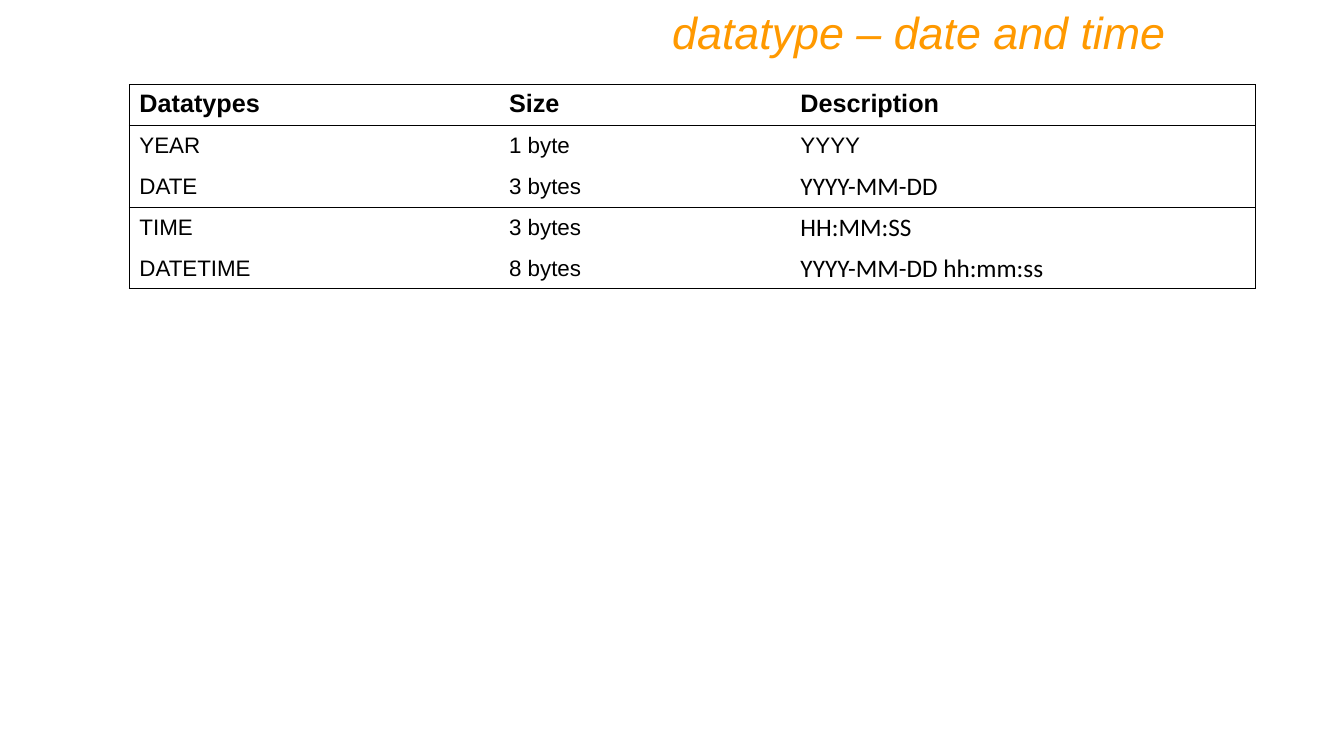
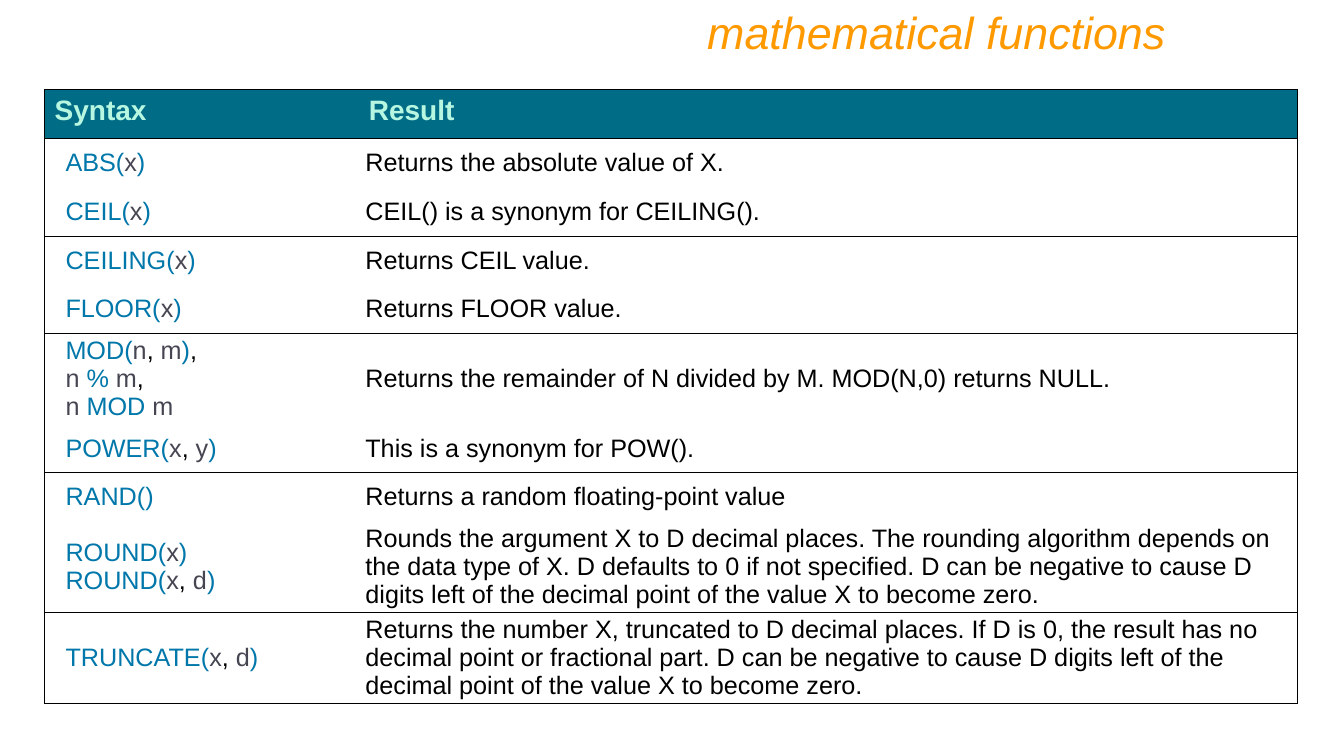
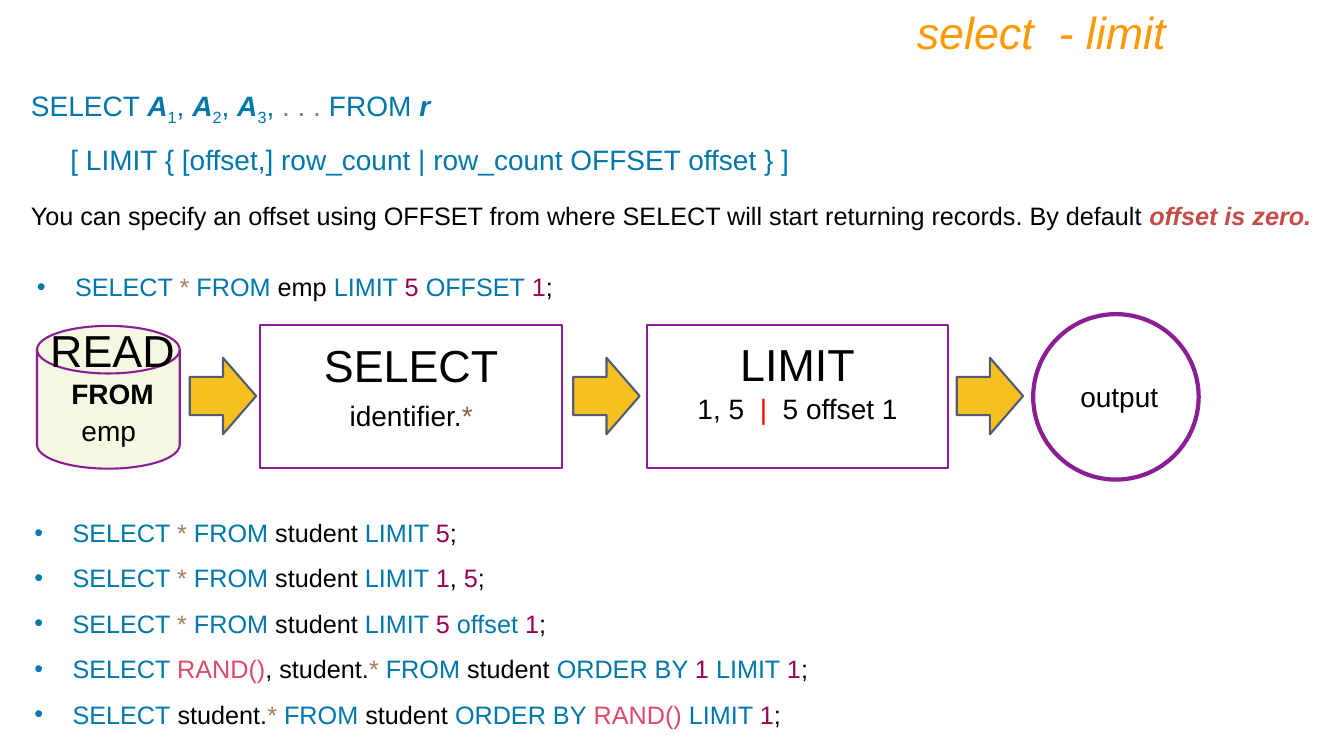
from lxml.etree import SubElement
from pptx import Presentation
from pptx.dml.color import RGBColor
from pptx.enum.shapes import MSO_SHAPE
from pptx.enum.text import MSO_ANCHOR, PP_ALIGN
from pptx.oxml import parse_xml
from pptx.oxml.ns import nsdecls, qn
from pptx.util import Inches, Pt

BLACK = RGBColor(0x00, 0x00, 0x00)
WHITE = RGBColor(0xFF, 0xFF, 0xFF)
ORANGE = RGBColor(0xFF, 0x99, 0x00)
BLUE = RGBColor(0x00, 0x77, 0xAA)
SLATE = RGBColor(0x46, 0x46, 0x53)
TEAL = RGBColor(0x00, 0x6C, 0x86)
MINT = RGBColor(0xB7, 0xF7, 0xE2)
PURPLE = RGBColor(0x8A, 0x1E, 0x92)
YELLOW = RGBColor(0xF6, 0xC1, 0x20)
STEEL = RGBColor(0x53, 0x5A, 0x76)
CREAM = RGBColor(0xF6, 0xF7, 0xE3)
GREY = RGBColor(0x7F, 0x7F, 0x7F)
RED = RGBColor(0xFF, 0x00, 0x00)
BRICK = RGBColor(0xC7, 0x4C, 0x49)
BROWN = RGBColor(0x94, 0x5D, 0x4A)
TAN = RGBColor(0xA6, 0x7F, 0x59)
MAGENTA = RGBColor(0x99, 0x00, 0x55)
PINK = RGBColor(0xDD, 0x4A, 0x68)

STYLES = {
    "k": dict(color=BLUE),
    "t": dict(color=BLACK),
    "x": dict(color=SLATE),
    "n": dict(color=MAGENTA),
    "o": dict(color=TAN),
    "f": dict(color=PINK),
    "g": dict(color=GREY),
    "r": dict(color=RED),
    "w": dict(color=BROWN),
    "v": dict(bold=True, italic=True),
    "s": dict(baseline=-25000),
    "e": dict(color=BRICK, bold=True, italic=True),
    "b": dict(size=20, bold=True),
    "c": dict(font="Calibri", size=18),
}

COLUMNS, ROWS = 160, 90


def style_run(r, size=18, color=BLACK, font="Arial", bold=False, italic=False, baseline=0):
    r.font.size = Pt(size)
    r.font.name = font
    r.font.bold = bold
    r.font.italic = italic
    r.font.color.rgb = color
    if baseline:
        r._r.get_or_add_rPr().set("baseline", str(baseline))


def add_bullet(p, color):
    pPr = p._p.get_or_add_pPr()
    pPr.set("marL", str(Inches(0.38)))
    pPr.set("indent", str(-Inches(0.38)))
    SubElement(SubElement(pPr, qn("a:buClr")), qn("a:srgbClr")).set("val", str(color))
    SubElement(pPr, qn("a:buFont")).set("typeface", "Arial")
    SubElement(pPr, qn("a:buChar")).set("char", "•")


def write(tf, text, align=PP_ALIGN.LEFT, spacing=None, bullet=None, **fmt):
    for i, line in enumerate(text.split("\n")):
        p = tf.add_paragraph() if i else tf.paragraphs[0]
        if bullet is not None:
            add_bullet(p, bullet)
        p.alignment = align
        if spacing:
            p.line_spacing = spacing
        plain, *marked = line.split("~")
        pieces = [(plain, {})] + [(m[1:], STYLES[m[0]]) for m in marked]
        for piece, style in pieces:
            if piece:
                r = p.add_run()
                r.text = piece
                style_run(r, **{**fmt, **style})


def set_borders(cell, sides):
    tcPr = cell._tc.get_or_add_tcPr()
    paint = {True: '<a:solidFill><a:srgbClr val="000000"/></a:solidFill>', False: "<a:noFill/>"}
    for i, side in enumerate("LRTB"):
        ln = parse_xml(f'<a:ln{side} {nsdecls("a")} w="9525">{paint[side in sides]}</a:ln{side}>')
        tcPr.insert(i, ln)


class Deck:
    def __init__(self):
        self.prs = Presentation()
        self.prs.slide_width, self.prs.slide_height = Inches(13.33), Inches(7.5)
        self.s = None

    def x(self, columns):
        return int(self.prs.slide_width * columns / COLUMNS)

    def y(self, rows):
        return int(self.prs.slide_height * rows / ROWS)

    def box(self, left, top, width, height):
        return self.x(left), self.y(top), self.x(width), self.y(height)

    def slide(self, title):
        self.s = self.prs.slides.add_slide(self.prs.slide_layouts[6])
        self.text(title, 20, 0, 120, 7.7, size=32, color=ORANGE, italic=True, align=PP_ALIGN.RIGHT)

    def text(self, text, left, top, width, height, **fmt):
        tf = self.s.shapes.add_textbox(*self.box(left, top, width, height)).text_frame
        tf.word_wrap = True
        write(tf, text, **fmt)

    def label(self, text, left, top, width, height=5.3, size=20):
        self.text(text, left, top, width, height, size=size, align=PP_ALIGN.CENTER)

    def shape(self, kind, left, top, width, height, fill=None, line=PURPLE, weight=1.5):
        sp = self.s.shapes.add_shape(kind, *self.box(left, top, width, height))
        sp.shadow.inherit = False
        if fill is None:
            sp.fill.background()
        else:
            sp.fill.solid()
            sp.fill.fore_color.rgb = fill
        sp.line.color.rgb = line
        sp.line.width = Pt(weight)

    def table(self, left, top, widths, heights, data, header, body, head_fill=WHITE, insets=None):
        size = self.box(left, top, sum(widths), sum(heights))
        table = self.s.shapes.add_table(len(data), len(widths), *size).table
        for column, width in zip(table.columns, widths):
            column.width = self.x(width)
        ruled = {0, len(data), *range(1, len(data), 2)}
        for i, (row, height) in enumerate(zip(data, heights)):
            table.rows[i].height = self.y(height)
            for j, text in enumerate(row):
                cell = table.cell(i, j)
                cell.fill.solid()
                cell.fill.fore_color.rgb = WHITE if i else head_fill
                if i:
                    cell.vertical_anchor = MSO_ANCHOR.MIDDLE
                    if insets:
                        cell.margin_left, cell.margin_right = self.x(insets[j]), self.x(0.8)
                        cell.margin_top = cell.margin_bottom = 0
                write(cell.text_frame, text, **(body if i else header))
                edges = {"L": j == 0, "R": j == len(row) - 1, "T": i in ruled, "B": i + 1 in ruled}
                set_borders(cell, [side for side, drawn in edges.items() if drawn])


DATE_TYPES = [
    ("Datatypes", "Size", "Description"),
    ("YEAR", "1 byte", "YYYY"),
    ("DATE", "3 bytes", "~cYYYY-MM-DD"),
    ("TIME", "3 bytes", "~cHH:MM:SS"),
    ("DATETIME", "8 bytes", "~cYYYY-MM-DD hh:mm:ss"),
]

FUNCTIONS = [
    ("Syntax", "Result"),
    ("~kABS(~xx~k)", "Returns the absolute value of X."),
    ("~kCEIL(~xx~k)", "CEIL() is a synonym for CEILING()."),
    ("~kCEILING(~xx~k)", "Returns CEIL value."),
    ("~kFLOOR(~xx~k)", "Returns FLOOR value."),
    ("~kMOD(~xn~t,~x m~k)~t,\n~xn~k % ~xm~t,\n~xn~k MOD ~xm",
     "Returns the remainder of N divided by M. MOD(N,0) returns NULL."),
    ("~kPOWER(~xx~t,~x y~k)", "This is a synonym for POW()."),
    ("~kRAND()", "Returns a random floating-point value"),
    ("~kROUND(~xx~k)\n~kROUND(~xx~t,~x d~k)",
     "Rounds the argument X to D decimal places. The rounding algorithm depends on the data type "
     "of X. D defaults to 0 if not specified. D can be negative to cause D digits left of the "
     "decimal point of the value X to become zero."),
    ("~kTRUNCATE(~xx~t,~x d~k)",
     "Returns the number X, truncated to D decimal places. If D is 0, the result has no decimal "
     "point or fractional part. D can be negative to cause D digits left of the decimal point of "
     "the value X to become zero."),
]

QUERIES = [
    "~kSELECT ~o* ~kFROM ~tstudent ~kLIMIT ~n5~t;",
    "~kSELECT ~o* ~kFROM ~tstudent ~kLIMIT ~n1~t, ~n5~t;",
    "~kSELECT ~o* ~kFROM ~tstudent ~kLIMIT ~n5 ~koffset ~n1~t;",
    "~kSELECT ~fRAND()~t, student.~o* ~kFROM ~tstudent ~kORDER BY ~n1 ~kLIMIT ~n1~t;",
    "~kSELECT~t student.~o* ~kFROM ~tstudent ~kORDER BY~f RAND() ~kLIMIT ~n1~t;",
]


def date_slide(deck):
    deck.slide("datatype – date and time")
    deck.table(15.4, 10.1, [44, 34.7, 55.4], [4.86] * 5, DATE_TYPES,
               header=dict(size=18, bold=True), body=dict(size=16))


def function_slide(deck):
    deck.slide("mathematical functions")
    tall = {5, 8, 9}
    heights = [10.8 if i in tall else 5.8 for i in range(len(FUNCTIONS))]
    deck.table(5.3, 10.7, [37.4, 111.8], heights, FUNCTIONS,
               header=dict(size=20, bold=True, color=MINT), body=dict(size=18),
               head_fill=TEAL, insets=[2.5, 0.8])


def limit_slide(deck):
    deck.slide("select  - limit")
    steps = [("SELECT", "identifier.~w*", 39.6, 46.9),
             ("LIMIT", "1, 5  ~r|~t  5 offset 1", 39.5, 46)]
    for i, (name, detail, name_top, detail_top) in enumerate(steps):
        left = 31 + 46 * i
        deck.shape(MSO_SHAPE.RECTANGLE, left, 38.7, 35.9, 17, fill=WHITE)
        deck.label(name, left, name_top, 35.9, 7.7, size=32)
        deck.label(detail, left, detail_top, 35.9)
    for i in range(3):
        deck.shape(MSO_SHAPE.RIGHT_ARROW, 22.6 + 45.65 * i, 42.6, 7.9, 9.1, fill=YELLOW, line=STEEL)
    deck.shape(MSO_SHAPE.FLOWCHART_MAGNETIC_DISK, 4.4, 38.8, 17, 17, fill=CREAM)
    deck.label("READ\n~bFROM", 4.7, 37.8, 17.4, 11.8, size=32)
    deck.label("emp", 4.7, 48.6, 16.5)
    deck.shape(MSO_SHAPE.OVAL, 123, 37.4, 19.7, 19.7, weight=3)
    deck.label("output", 123.7, 44.6, 19.1)

    syntax = dict(size=20, color=BLUE, spacing=1.5)
    deck.text("SELECT ~vA~s1~k, ~vA~s2~k, ~vA~s3~k, ~g. . .~k FROM ~vr", 2.5, 7.7, 150, 6.3, **syntax)
    deck.text("[ LIMIT { [offset,] row_count | row_count OFFSET offset } ]",
              7.2, 14.4, 145, 6.3, **syntax)
    deck.text("You can specify an offset using OFFSET from where SELECT will start returning records. "
              "By default~e offset is zero.", 2.5, 23.2, 156, 4.8)
    query = dict(spacing=1.5, bullet=BLUE)
    deck.text("~kSELECT ~o* ~kFROM ~temp ~kLIMIT ~n5 ~kOFFSET ~n1~t;", 3.2, 29.9, 149, 6.1, **query)
    deck.text("\n".join(QUERIES), 2.9, 59.2, 149, 28, **query)


def main():
    deck = Deck()
    date_slide(deck)
    function_slide(deck)
    limit_slide(deck)
    deck.prs.save("out.pptx")


if __name__ == "__main__":
    main()
